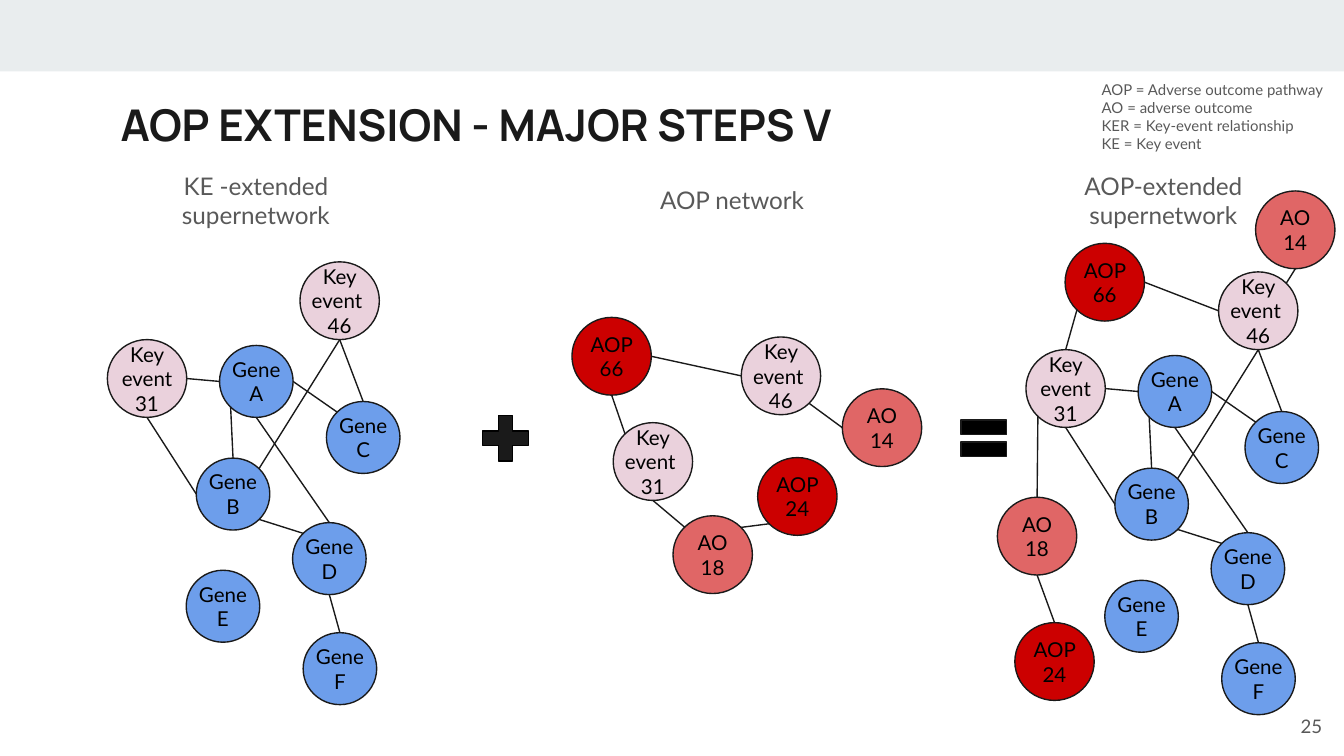
"""Build the slide on extending a supernetwork with adverse outcome pathways."""
from lxml import etree
from pptx import Presentation
from pptx import util as u
from pptx.dml.color import RGBColor
from pptx.enum import shapes, text
from pptx.oxml.ns import qn

INK = RGBColor(0x1A, 0x1A, 0x1A)
BLACK = RGBColor(0, 0, 0)
GRAY = RGBColor(0x59, 0x59, 0x59)
BAND = RGBColor(0xE9, 0xED, 0xEE)
BLUE = RGBColor(0x6D, 0x9E, 0xEB)
PINK = RGBColor(0xEA, 0xD1, 0xDC)
SALMON = RGBColor(0xE0, 0x66, 0x66)
RED = RGBColor(0xCC, 0, 0)

GENE_SIZE = (1.39, 1.36)
EVENT_SIZE = (1.5, 1.47)
KINDS = {
    "Gene": (BLUE, GENE_SIZE),
    "Key": (PINK, EVENT_SIZE),
    "AO": (SALMON, EVENT_SIZE),
    "AOP": (RED, EVENT_SIZE),
}
DIAGONAL = 0.35
SITES = {
    "top": (0.5, 0), "bottom": (0.5, 1), "left": (0, 0.5), "right": (1, 0.5),
    "top left": (0.5 - DIAGONAL, 0.5 - DIAGONAL),
    "top right": (0.5 + DIAGONAL, 0.5 - DIAGONAL),
    "bottom left": (0.5 - DIAGONAL, 0.5 + DIAGONAL),
    "bottom right": (0.5 + DIAGONAL, 0.5 + DIAGONAL),
}

SUPERNETWORK = {
    "A": ("Gene A", 4.15, 6.53), "B": ("Gene B", 3.71, 8.66),
    "C": ("Gene C", 6.17, 7.59), "D": ("Gene D", 5.53, 9.88),
    "E": ("Gene E", 3.52, 10.78), "F": ("Gene F", 5.73, 11.96),
    "KE31": ("Key event 31", 2.03, 6.42),
    "KE46": ("Key event \n46", 5.67, 4.95),
}
SUPERNETWORK_EDGES = [
    ("A", "bottom left", "B", "top"), ("A", "right", "C", "top left"),
    ("B", "bottom right", "D", "top left"), ("A", "bottom", "D", "top"),
    ("D", "bottom", "F", "top"), ("KE31", "bottom", "B", "left"),
    ("KE31", "right", "A", "left"), ("C", "top", "KE46", "bottom"),
    ("B", "top right", "KE46", "bottom"),
]
AOP_NETWORK = {
    "KE46": ("Key event \n46", 14.01, 6.37), "KE31": ("Key event \n31", 11.59, 7.99),
    "AO18": ("AO 18", 12.72, 9.75), "AOP24": ("AOP 24", 14.32, 8.65),
    "AO14": ("AO 14", 15.92, 7.35), "AOP66": ("AOP 66", 10.81, 6),
}
AOP_EDGES = [
    ("AOP66", "bottom", "KE31", "top left"), ("KE31", "bottom", "AO18", "top left"),
    ("AO18", "top right", "AOP24", "bottom left"),
    ("KE46", "bottom right", "AO14", "left"), ("KE46", "left", "AOP66", "right"),
]
EXTENSION_SHIFT = (17.36, 0.19)
EXTENSION = {
    "AOP66": ("AOP 66", 20.13, 4.6), "AO18": ("AO 18", 18.85, 9.4),
    "AOP24": ("AOP 24", 19.18, 11.77), "AO14": ("AO 14", 23.73, 3.61),
}
EXTENSION_EDGES = [
    ("KE31", "top", "AOP66", "bottom left"), ("AOP66", "right", "KE46", "left"),
    ("KE31", "bottom left", "AO18", "top"), ("AO18", "bottom", "AOP24", "top"),
    ("KE46", "top right", "AO14", "bottom"),
]


def write(shape, words, size, color, align, inset=0, anchor=text.MSO_ANCHOR.MIDDLE,
          font="Lato", bold=False):
    """Fill a shape with formatted wrapping text."""
    frame = shape.text_frame
    frame.text = words
    frame.word_wrap = True
    frame.auto_size = text.MSO_AUTO_SIZE.NONE
    frame.vertical_anchor = anchor
    frame.margin_left = frame.margin_right = u.Cm(inset)
    frame.margin_top = frame.margin_bottom = u.Cm(inset)
    for para in frame.paragraphs:
        para.alignment = align
        for span in para.runs:
            span.font.name = font
            span.font.size = u.Pt(size)
            span.font.bold = bold
            span.font.color.rgb = color


def add_text(page, words, place, size, align, inset=0):
    """Add a gray text box."""
    box = page.shapes.add_textbox(*map(u.Cm, place))
    write(box, words, size, GRAY, align, inset)


def add_title(page, words):
    """Move and format the title placeholder."""
    title = page.shapes.title
    title.left, title.top, title.width, title.height = map(u.Cm, (2.03, 1.6, 21.36, 1.5))
    write(title, words, 23.4, INK, text.PP_ALIGN.LEFT, 0.25,
          text.MSO_ANCHOR.TOP, "Manrope", True)


def add_figure(page, preset, place, fill, line=None):
    """Add a filled preset shape with an optional outline."""
    figure = page.shapes.add_shape(preset, *map(u.Cm, place))
    figure.shadow.inherit = False
    figure.fill.solid()
    figure.fill.fore_color.rgb = fill
    if line is None:
        figure.line.fill.background()
    else:
        figure.line.color.rgb = line
        figure.line.width = u.Pt(0.75)
    return figure


def add_node(page, label, left, top):
    """Add a network node whose look follows the first word of its label."""
    fill, size = KINDS[label.split()[0]]
    node = add_figure(page, shapes.MSO_SHAPE.OVAL, (left, top, *size), fill, INK)
    write(node, label, 11, BLACK, text.PP_ALIGN.CENTER)
    return node


def site_point(node, site):
    """Return the position of a named site on a node's edge."""
    across, down = SITES[site]
    return int(node.left + across * node.width), int(node.top + down * node.height)


def add_edge(page, start, end):
    """Add a straight line between two points."""
    edge = page.shapes.add_connector(shapes.MSO_CONNECTOR.STRAIGHT, *start, *end)
    edge.line.color.rgb = INK
    edge.line.width = u.Pt(0.75)
    etree.SubElement(edge._element.spPr, qn("a:effectLst"))


def add_network(page, places, edges):
    """Add the nodes of a network and the lines between them."""
    nodes = {key: add_node(page, *place) for key, place in places.items()}
    for first, first_site, last, last_site in edges:
        add_edge(page, site_point(nodes[first], first_site),
                 site_point(nodes[last], last_site))


def shifted(places, shift):
    """Return node places moved by a distance across and down."""
    return {key: (label, left + shift[0], top + shift[1])
            for key, (label, left, top) in places.items()}


def main():
    """Build and save the deck."""
    deck = Presentation()
    deck.slide_width, deck.slide_height = u.Cm(25.4), u.Cm(14.29)
    page = deck.slides.add_slide(deck.slide_layouts[5])
    add_figure(page, shapes.MSO_SHAPE.RECTANGLE, (0, 0, 25.4, 1.35), BAND)
    add_title(page, "AOP EXTENSION - MAJOR STEPS V")
    add_text(page, "AOP = Adverse outcome pathway\nAO = adverse outcome\n"
             "KER = Key-event relationship\nKE = Key event",
             (20.57, 1.45, 4.88, 1.5), 8, text.PP_ALIGN.LEFT, 0.25)

    captions = [("KE -extended supernetwork", 2.46), ("AOP network", 11.46),
                ("AOP-extended supernetwork", 19.61)]
    for words, left in captions:
        add_text(page, words, (left, 3.28, 4.75, 1), 13, text.PP_ALIGN.CENTER)

    add_network(page, SUPERNETWORK, SUPERNETWORK_EDGES)
    add_network(page, AOP_NETWORK, AOP_EDGES)
    add_network(page, {**shifted(SUPERNETWORK, EXTENSION_SHIFT), **EXTENSION},
                SUPERNETWORK_EDGES + EXTENSION_EDGES)

    add_figure(page, shapes.MSO_SHAPE.MATH_PLUS, (8.97, 7.7, 1.17, 1.17), INK, BLACK)
    add_figure(page, shapes.MSO_SHAPE.MATH_EQUAL, (18.01, 7.7, 1.17, 1.17), BLACK, INK)
    add_text(page, "25", (23.72, 13.18, 1.52, 1.09), 10, text.PP_ALIGN.RIGHT, 0.25)
    deck.save("out.pptx")


if __name__ == "__main__":
    main()
